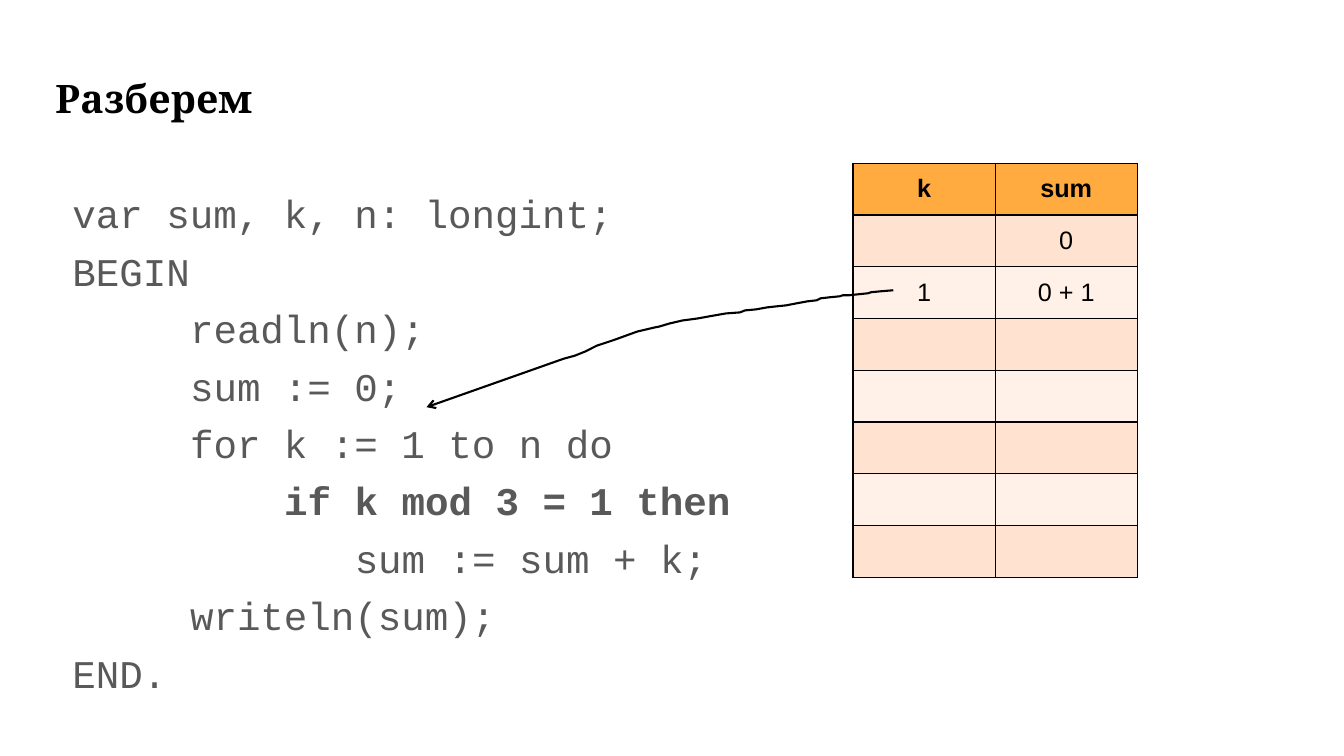
import pptx
import pptx.dml.color
import pptx.enum.text
import pptx.oxml.ns
import pptx.util
from lxml import etree

Inches = pptx.util.Inches
RGBColor = pptx.dml.color.RGBColor
BLACK = RGBColor(0x00, 0x00, 0x00)
CODE_GRAY = RGBColor(0x59, 0x59, 0x59)
HEADER_ORANGE = RGBColor(0xFF, 0xAB, 0x40)
DARK_BAND = RGBColor(0xFF, 0xE2, 0xCF)
LIGHT_BAND = RGBColor(0xFF, 0xF1, 0xE8)

CODE_INDENT = 0.17
CHARACTER_WIDTH = 28 * 0.6 / 72
CODE_LINES = [
    (0, "var sum, k, n: longint;"),
    (0, "BEGIN"),
    (5, "readln(n);"),
    (5, "sum := 0;"),
    (5, "for k := 1 to n do"),
    (9, "if k mod 3 = 1 then"),
    (12, "sum := sum + k;"),
    (5, "writeln(sum);"),
    (0, "END."),
]
TRACE_ROWS = [("k", "sum"), ("", "0"), ("1", "0 + 1")] + [("", "")] * 5
ARROW_POINTS = [
    (4.23, 4.04), (5.59, 3.56), (5.7, 3.53), (5.8, 3.49), (5.92, 3.43),
    (5.98, 3.41), (6.1, 3.37), (6.32, 3.29), (6.49, 3.25), (6.54, 3.24),
    (6.64, 3.21), (6.77, 3.18), (6.92, 3.16), (7.03, 3.14), (7.2, 3.11),
    (7.34, 3.1), (7.39, 3.08), (7.5, 3.07), (7.61, 3.05), (7.7, 3.04),
    (7.8, 3.03), (7.9, 3.01), (8.01, 2.99), (8.1, 2.98), (8.14, 2.96),
    (8.23, 2.95), (8.33, 2.94), (8.36, 2.93), (8.42, 2.93), (8.61, 2.91),
    (8.64, 2.9), (8.74, 2.89), (8.86, 2.88),
]


def write_text(paragraph, text, font="Arial", size=18, color=BLACK, bold=False,
               alignment=None, spacing=None, indent=0):
    paragraph.alignment = alignment
    paragraph.line_spacing = spacing
    if indent:
        paragraph._p.get_or_add_pPr().set("marL", str(Inches(indent)))
    run = paragraph.add_run()
    run.text = text
    run.font.name = font
    run.font.size = pptx.util.Pt(size)
    run.font.color.rgb = color
    run.font.bold = bold


def add_text_frame(slide, left, top, width, height):
    frame = slide.shapes.add_textbox(
        Inches(left), Inches(top), Inches(width), Inches(height)).text_frame
    frame.word_wrap = True
    frame.margin_left = frame.margin_right = Inches(0.1)
    frame.margin_top = frame.margin_bottom = Inches(0.1)
    return frame


presentation = pptx.Presentation()
presentation.slide_width = Inches(13.33)
presentation.slide_height = Inches(7.5)
slide = presentation.slides.add_slide(presentation.slide_layouts[6])

title_frame = add_text_frame(slide, 0.45, 0.64, 12.42, 0.84)
write_text(title_frame.paragraphs[0], "Разберем", font="Cambria", size=28, bold=True)

code_frame = add_text_frame(slide, 0.45, 1.68, 12.42, 4.98)
for number, (depth, code) in enumerate(CODE_LINES):
    paragraph = code_frame.add_paragraph() if number else code_frame.paragraphs[0]
    write_text(paragraph, code, font="Courier New", size=28, color=CODE_GRAY,
               bold=code.startswith("if"), spacing=1.22,
               indent=CODE_INDENT + depth * CHARACTER_WIDTH)

table = slide.shapes.add_table(
    len(TRACE_ROWS), 2, Inches(8.46), Inches(1.62), Inches(2.82), Inches(4.11)).table
for row_number, values in enumerate(TRACE_ROWS):
    if row_number == 0:
        band = HEADER_ORANGE
    else:
        band = DARK_BAND if row_number % 2 else LIGHT_BAND
    for column_number, value in enumerate(values):
        cell = table.cell(row_number, column_number)
        cell.vertical_anchor = pptx.enum.text.MSO_ANCHOR.MIDDLE
        properties = cell._tc.get_or_add_tcPr()
        for side in ("a:lnL", "a:lnR", "a:lnT", "a:lnB"):
            border = etree.SubElement(properties, pptx.oxml.ns.qn(side), w="12700")
            border_fill = etree.SubElement(border, pptx.oxml.ns.qn("a:solidFill"))
            etree.SubElement(border_fill, pptx.oxml.ns.qn("a:srgbClr"), val=str(BLACK))
        cell.fill.solid()
        cell.fill.fore_color.rgb = band
        if value:
            write_text(cell.text_frame.paragraphs[0], value, bold=row_number == 0,
                       alignment=pptx.enum.text.PP_ALIGN.CENTER)

points = [(Inches(x), Inches(y)) for x, y in ARROW_POINTS]
builder = slide.shapes.build_freeform(*points[0])
builder.add_line_segments(points[1:], close=False)
arrow = builder.convert_to_shape()
arrow.shadow.inherit = False
arrow.fill.background()
arrow.line.color.rgb = BLACK
arrow.line.width = pptx.util.Pt(1.5)
etree.SubElement(arrow.line._get_or_add_ln(), pptx.oxml.ns.qn("a:headEnd"), type="arrow")

presentation.save("out.pptx")
